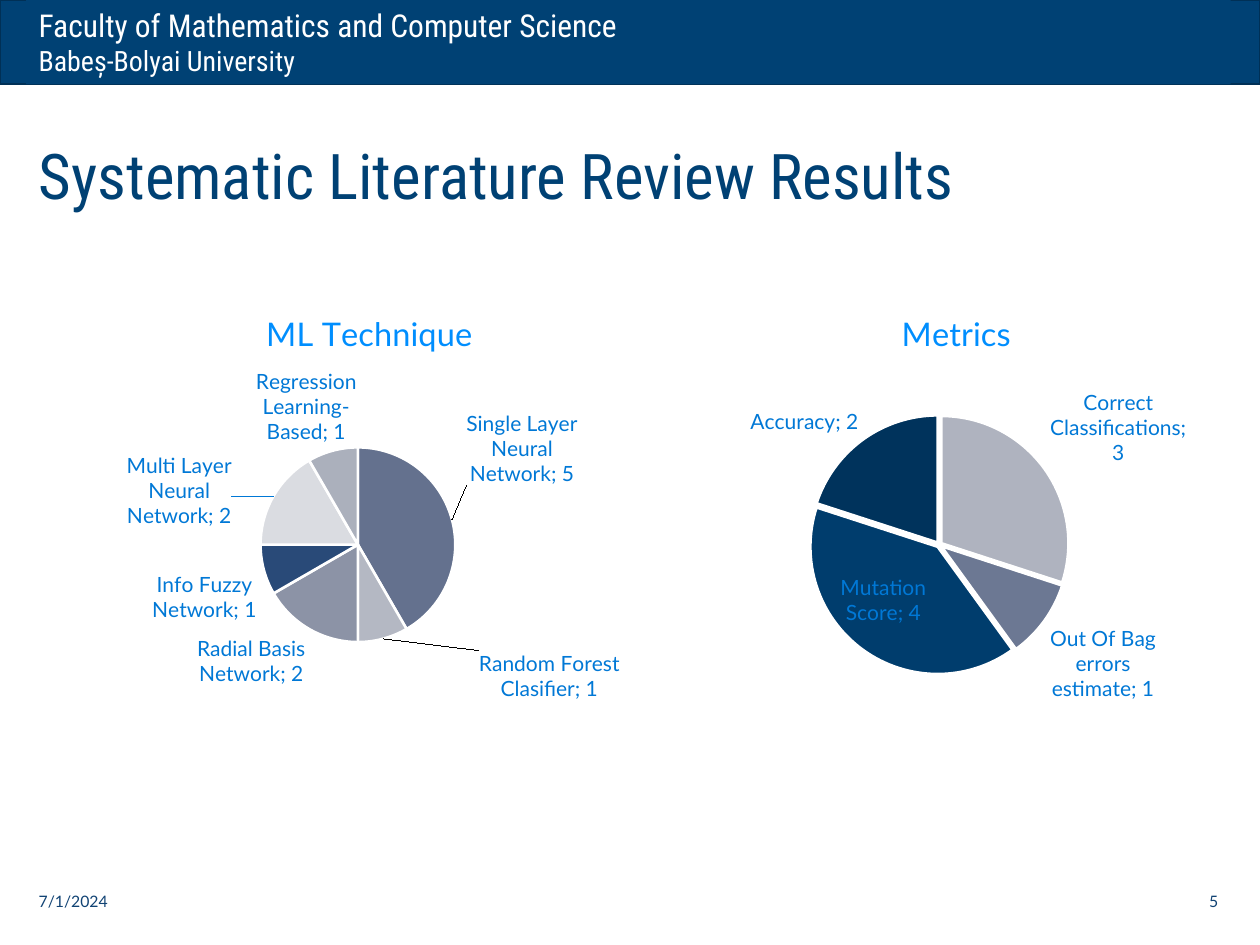
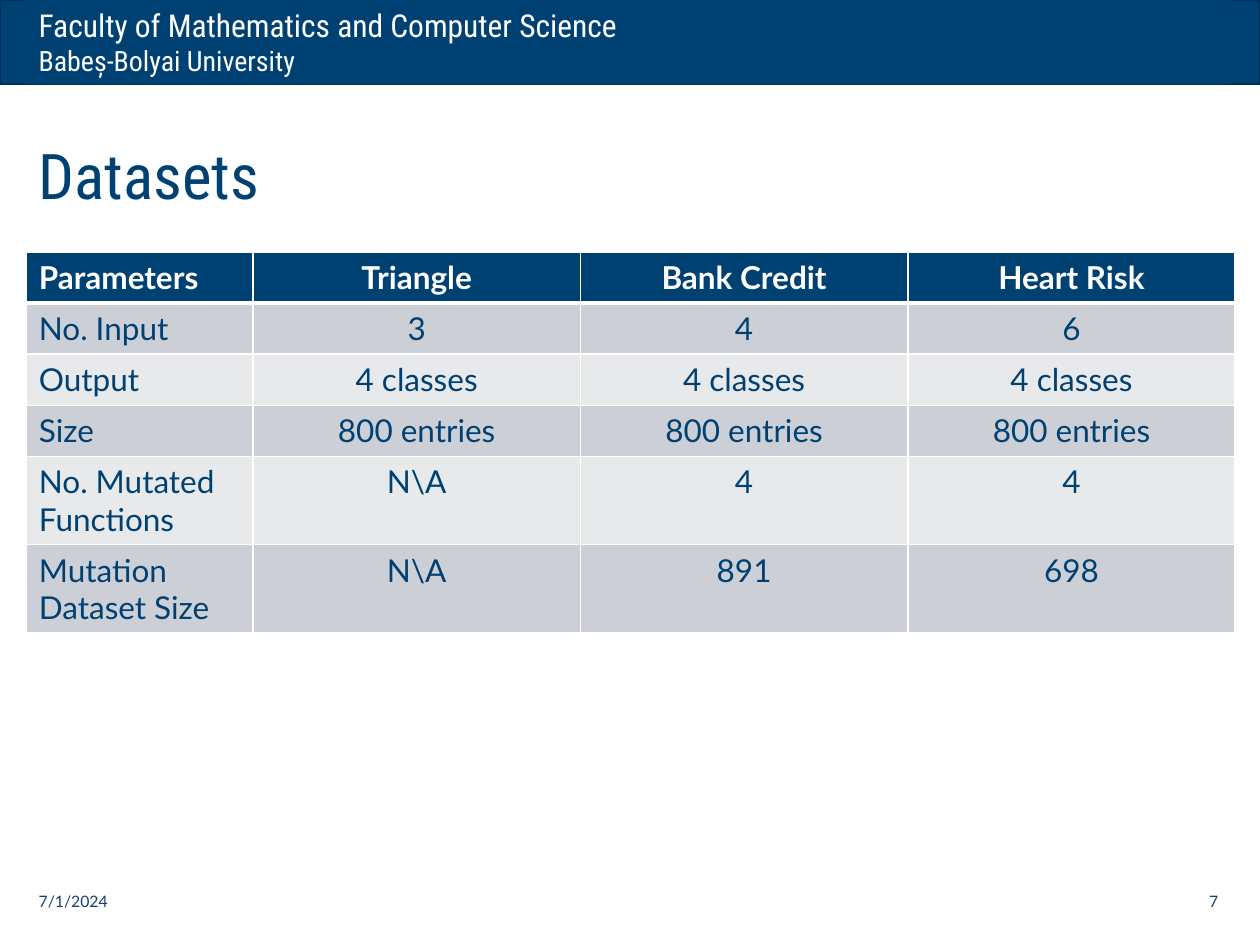
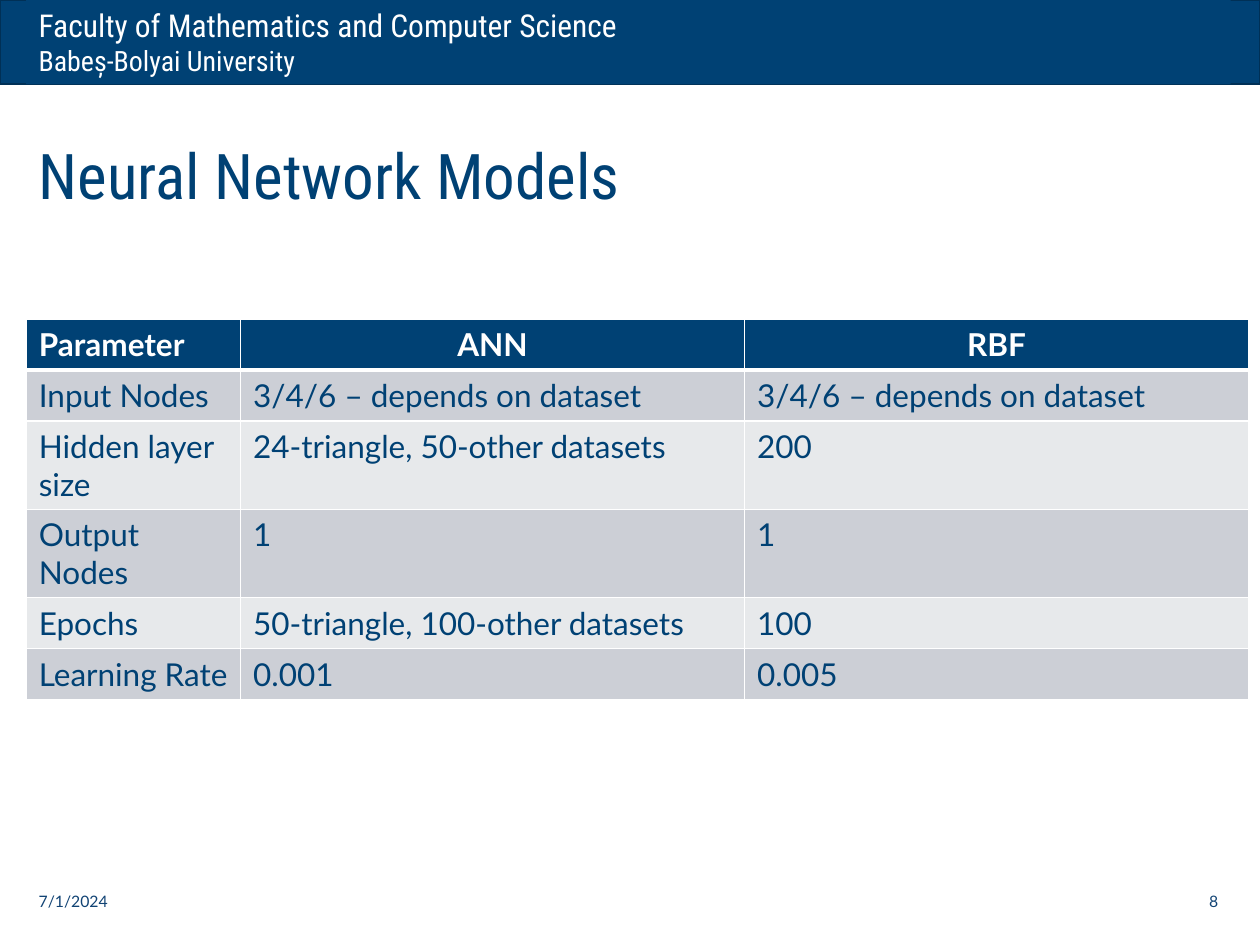
"""Build three slides on a literature review, its datasets and its network models."""
from dataclasses import dataclass

from lxml import etree
from pptx import Presentation
from pptx.chart.data import CategoryChartData
from pptx.dml.color import RGBColor
from pptx.enum.chart import XL_CHART_TYPE, XL_LABEL_POSITION
from pptx.enum.shapes import MSO_SHAPE
from pptx.enum.text import MSO_ANCHOR, PP_ALIGN
from pptx.oxml.ns import qn
from pptx.util import Cm, Pt


@dataclass(frozen=True)
class Theme:
    """Colours, fonts and type sizes shared by all slides."""
    navy: str = "004174"
    band_edge: str = "003056"
    white: str = "FFFFFF"
    footer: str = "114374"
    chart_title: str = "008EFE"
    chart_label: str = "0078D6"
    row_fills: tuple = ("CCCFD6", "E7E9EB")
    heading_font: str = "Roboto Condensed"
    body_font: str = "Lato"
    faculty_size: float = 18
    university_size: float = 16
    title_size: float = 36
    table_size: float = 18
    chart_title_size: float = 18.6
    label_size: float = 12
    chart_size: float = 10
    footer_size: float = 9


THEME = Theme()
FACULTY = "Faculty of Mathematics and Computer Science"
UNIVERSITY = "Babeș-Bolyai University"
DATE = "7/1/2024"
MARGIN, CONTENT_WIDTH = 0.53, 24.28
SLIDE_WIDTH, SLIDE_HEIGHT, BAND_HEIGHT = 25.4, 19.05, 1.7
FOOTER_TOP, FOOTER_WIDTH, FOOTER_HEIGHT = 17.65, 5.72, 1.02
CHART_TOP, CHART_WIDTH, CHART_HEIGHT = 5.56, 14.58, 9.35
ROW_HEIGHT = 1.03

TECHNIQUES = {
    "name": "ML Technique", "left": 0, "explosion": 0,
    "title_place": (0.36, 0.06), "pie_place": (0.36, 0.37, 0.27, 0.42),
    "label_shifts": {0: (0.01, -0.07), 1: (0.13, 0.01)},
    "slices": [
        ("Single Layer Neural Network", 5, "64718E"),
        ("Random Forest Clasifier", 1, "B4B8C3"),
        ("Radial Basis Network", 2, "8C93A6"),
        ("Info Fuzzy Network", 1, "294A78"),
        ("Multi Layer Neural Network", 2, "DADCE1"),
        ("Regression Learning-Based", 1, "ABB0BC"),
    ],
}
METRICS = {
    "name": "Metrics", "left": 11.79, "explosion": 2,
    "title_place": (0.43, 0.06), "pie_place": (0.31, 0.3, 0.36, 0.56),
    "label_shifts": {},
    "slices": [
        ("Correct Classifications", 3, "AFB3BF"),
        ("Out Of Bag errors estimate", 1, "6C7893"),
        ("Mutation Score", 4, "003D6D"),
        ("Accuracy", 2, "00335C"),
    ],
}
DATASETS = {
    "top": 5.08, "widths": [4.57, 6.6, 6.6, 6.6], "value_align": PP_ALIGN.CENTER,
    "rows": [
        ("Parameters", "Triangle", "Bank Credit", "Heart Risk"),
        ("No. Input", "3", "4", "6"),
        ("Output", "4 classes", "4 classes", "4 classes"),
        ("Size", "800 entries", "800 entries", "800 entries"),
        ("No. Mutated Functions", "N\\A", "4", "4"),
        ("Mutation Dataset Size", "N\\A", "891", "698"),
    ],
}
MODELS = {
    "top": 6.43, "widths": [4.32, 10.16, 10.16], "value_align": PP_ALIGN.LEFT,
    "rows": [
        ("Parameter", "ANN", "RBF"),
        ("Input Nodes", "3/4/6 – depends on dataset", "3/4/6 – depends on dataset"),
        ("Hidden layer size", "24-triangle, 50-other datasets", "200"),
        ("Output Nodes", "1", "1"),
        ("Epochs", "50-triangle, 100-other datasets", "100"),
        ("Learning Rate", "0.001", "0.005"),
    ],
}
SLIDES = [
    {"title": "Systematic Literature Review Results", "number": "5",
     "charts": [TECHNIQUES, METRICS]},
    {"title": "Datasets", "number": "7", "tables": [DATASETS]},
    {"title": "Neural Network Models", "number": "8", "tables": [MODELS]},
]


def set_font(font, size, color, name=THEME.body_font, bold=False):
    """Apply a text format to a font."""
    for attribute, value in {"size": Pt(size), "name": name, "bold": bold}.items():
        setattr(font, attribute, value)
    font.color.rgb = RGBColor.from_string(color)


def paint(part, color):
    """Give a fill a solid colour."""
    part.fill.solid()
    part.fill.fore_color.rgb = RGBColor.from_string(color)


def add_band(slide, left, width):
    """Add a navy block along the top edge."""
    band = slide.shapes.add_shape(MSO_SHAPE.RECTANGLE, Cm(left), 0, Cm(width), Cm(BAND_HEIGHT))
    band.shadow.inherit = False
    paint(band, THEME.navy)
    return band


def add_header(slide):
    """Add the band with the faculty and university names."""
    edge = add_band(slide, 0, SLIDE_WIDTH).line
    edge.color.rgb = RGBColor.from_string(THEME.band_edge)
    edge.width = Pt(1)
    header = add_band(slide, MARGIN, CONTENT_WIDTH)
    header.line.fill.background()
    header.text_frame.vertical_anchor = MSO_ANCHOR.TOP
    names = header.text_frame.paragraphs[0]
    names.alignment = PP_ALIGN.LEFT
    for text, size in ((FACULTY, THEME.faculty_size), (UNIVERSITY, THEME.university_size)):
        if names.runs:
            names.add_line_break()
        run = names.add_run()
        run.text = text
        set_font(run.font, size, THEME.white, THEME.heading_font)


def write(shape, text, align, size, color, name):
    """Write one vertically centred line in a shape."""
    shape.text_frame.word_wrap = True
    shape.text_frame.vertical_anchor = MSO_ANCHOR.MIDDLE
    line = shape.text_frame.paragraphs[0]
    line.text = text
    line.alignment = align
    set_font(line.runs[0].font, size, color, name)


def add_title(slide, text):
    """Place and format the title placeholder."""
    title = slide.shapes.title
    place = {"left": MARGIN, "top": 2.44, "width": CONTENT_WIDTH, "height": 2.13}
    for attribute, value in place.items():
        setattr(title, attribute, Cm(value))
    write(title, text, PP_ALIGN.LEFT, THEME.title_size, THEME.navy, THEME.heading_font)


def add_footer(slide, number):
    """Add the date on the left and the slide number on the right."""
    right = MARGIN + CONTENT_WIDTH - FOOTER_WIDTH
    for text, left, align in ((DATE, MARGIN, PP_ALIGN.LEFT), (number, right, PP_ALIGN.RIGHT)):
        box = slide.shapes.add_textbox(Cm(left), Cm(FOOTER_TOP), Cm(FOOTER_WIDTH), Cm(FOOTER_HEIGHT))
        write(box, text, align, THEME.footer_size, THEME.footer, THEME.body_font)


def make_layout(place, mode=None, target=None):
    """Return a chart layout element with fractional coordinates."""
    layout = etree.Element(qn("c:layout"))
    manual = etree.SubElement(layout, qn("c:manualLayout"))
    if target:
        etree.SubElement(manual, qn("c:layoutTarget")).set("val", target)
    if mode:
        for tag in ("c:xMode", "c:yMode"):
            etree.SubElement(manual, qn(tag)).set("val", mode)
    for tag, value in zip("xywh", place):
        etree.SubElement(manual, qn(f"c:{tag}")).set("val", str(value))
    return layout


def put_layout(parent, index, layout):
    """Replace the layout of a chart part."""
    for old in parent.findall(qn("c:layout")):
        parent.remove(old)
    parent.insert(index, layout)


def add_separator(labels):
    """Separate category and value with a semicolon."""
    separator = etree.Element(qn("c:separator"))
    separator.text = "; "
    labels.find(qn("c:showBubbleSize")).addnext(separator)


def label_slices(series, shifts):
    """Show category and value beside each slice, shifting chosen labels."""
    labels = series.data_labels
    options = {"show_value": True, "show_category_name": True, "show_percentage": False,
               "position": XL_LABEL_POSITION.BEST_FIT}
    for attribute, value in options.items():
        setattr(labels, attribute, value)
    set_font(labels.font, THEME.label_size, THEME.chart_label)
    for index in shifts:
        label = series.points[index].data_label
        set_font(label.font, THEME.label_size, THEME.chart_label)
        label.position = XL_LABEL_POSITION.BEST_FIT
    group = series._element.find(qn("c:dLbls"))
    add_separator(group)
    for label, shift in zip(group.findall(qn("c:dLbl")), shifts.values()):
        label.find(qn("c:showCatName")).set("val", "1")
        put_layout(label, 1, make_layout(shift))
        add_separator(label)


def add_pie(slide, pie):
    """Add a titled pie chart with labelled slices."""
    categories, values, colors = zip(*pie["slices"])
    data = CategoryChartData()
    data.categories = categories
    data.add_series(pie["name"], values)
    chart = slide.shapes.add_chart(
        XL_CHART_TYPE.PIE, Cm(pie["left"]), Cm(CHART_TOP), Cm(CHART_WIDTH), Cm(CHART_HEIGHT), data).chart
    set_font(chart.font, THEME.chart_size, THEME.navy)
    chart.has_legend = False
    chart.has_title = True
    heading = chart.chart_title.text_frame
    heading.text = pie["name"]
    set_font(heading.paragraphs[0].runs[0].font, THEME.chart_title_size, THEME.chart_title)
    put_layout(chart.chart_title._element, 1, make_layout(pie["title_place"], "edge"))
    plot = chart.plots[0]
    plot.vary_by_categories = True
    put_layout(plot._element.getparent(), 0, make_layout(pie["pie_place"], "edge", "inner"))
    series = plot.series[0]
    if pie["explosion"]:
        explosion = etree.Element(qn("c:explosion"), val=str(pie["explosion"]))
        series._element.find(qn("c:tx")).addnext(explosion)
    for index, color in enumerate(colors):
        wedge = series.points[index].format
        paint(wedge, color)
        wedge.line.color.rgb = RGBColor.from_string(THEME.white)
        wedge.line.width = Pt(1.5)
    label_slices(series, pie["label_shifts"])


def add_borders(cell, top, bottom):
    """Draw white cell borders of the given top and bottom widths."""
    properties = cell._tc.get_or_add_tcPr()
    for index, (side, width) in enumerate({"L": 1, "R": 1, "T": top, "B": bottom}.items()):
        border = etree.Element(qn(f"a:ln{side}"), w=str(Pt(width)))
        fill = etree.SubElement(border, qn("a:solidFill"))
        etree.SubElement(fill, qn("a:srgbClr")).set("val", THEME.white)
        properties.insert(index, border)


def add_grid(slide, grid):
    """Add a table with a navy header and alternating rows."""
    rows, widths = grid["rows"], grid["widths"]
    table = slide.shapes.add_table(
        len(rows), len(widths), Cm(MARGIN), Cm(grid["top"]),
        Cm(sum(widths)), Cm(ROW_HEIGHT * len(rows))).table
    for column, width in zip(table.columns, widths):
        column.width = Cm(width)
    for r, row in enumerate(rows):
        table.rows[r].height = Cm(ROW_HEIGHT)
        header = r == 0
        value_align = PP_ALIGN.CENTER if header else grid["value_align"]
        for c, text in enumerate(row):
            cell = table.cell(r, c)
            paint(cell, THEME.navy if header else THEME.row_fills[(r - 1) % 2])
            add_borders(cell, 3 if r == 1 else 1, 3 if header else 1)
            entry = cell.text_frame.paragraphs[0]
            entry.text = text
            entry.alignment = value_align if c else PP_ALIGN.LEFT
            set_font(entry.runs[0].font, THEME.table_size,
                     THEME.white if header else THEME.navy, bold=header)


def main():
    """Build the slides and save the presentation."""
    prs = Presentation()
    prs.slide_width, prs.slide_height = Cm(SLIDE_WIDTH), Cm(SLIDE_HEIGHT)
    for content in SLIDES:
        slide = prs.slides.add_slide(prs.slide_layouts[5])
        add_header(slide)
        add_title(slide, content["title"])
        for pie in content.get("charts", []):
            add_pie(slide, pie)
        for grid in content.get("tables", []):
            add_grid(slide, grid)
        add_footer(slide, content["number"])
    prs.save("out.pptx")


if __name__ == "__main__":
    main()
